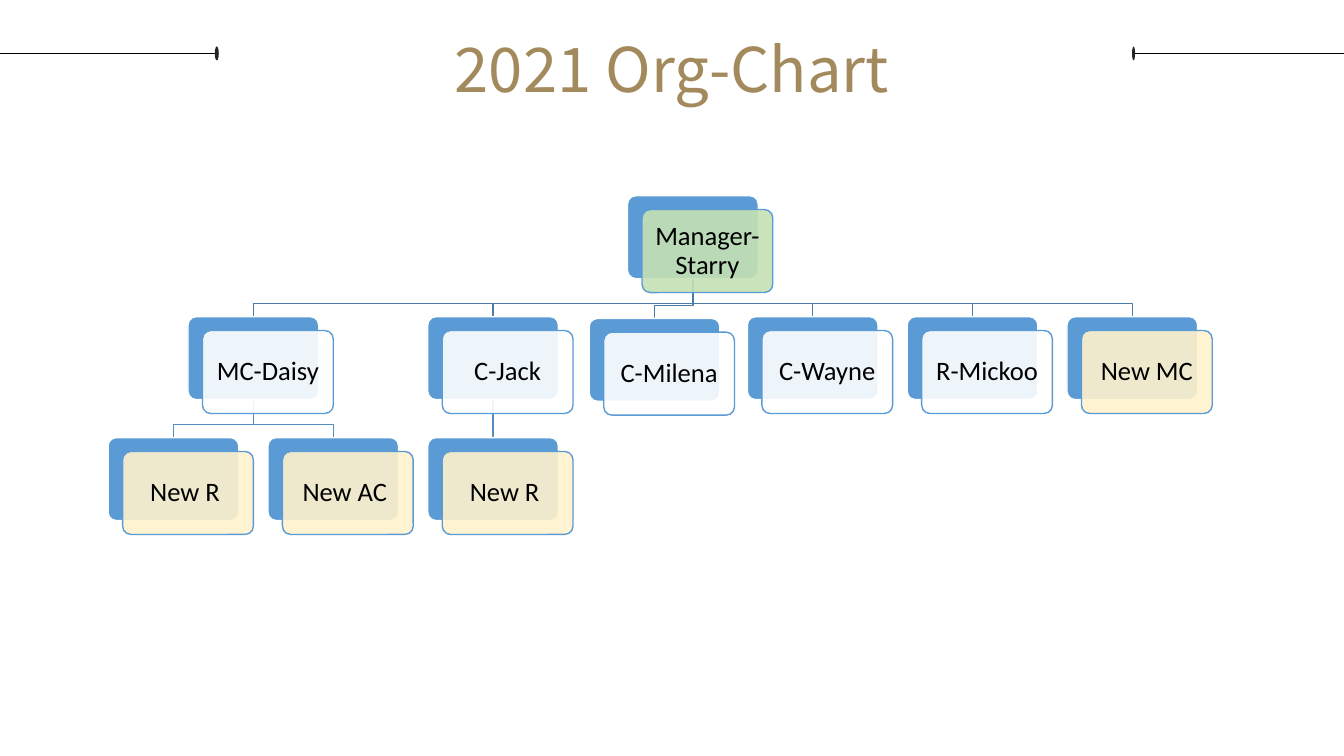
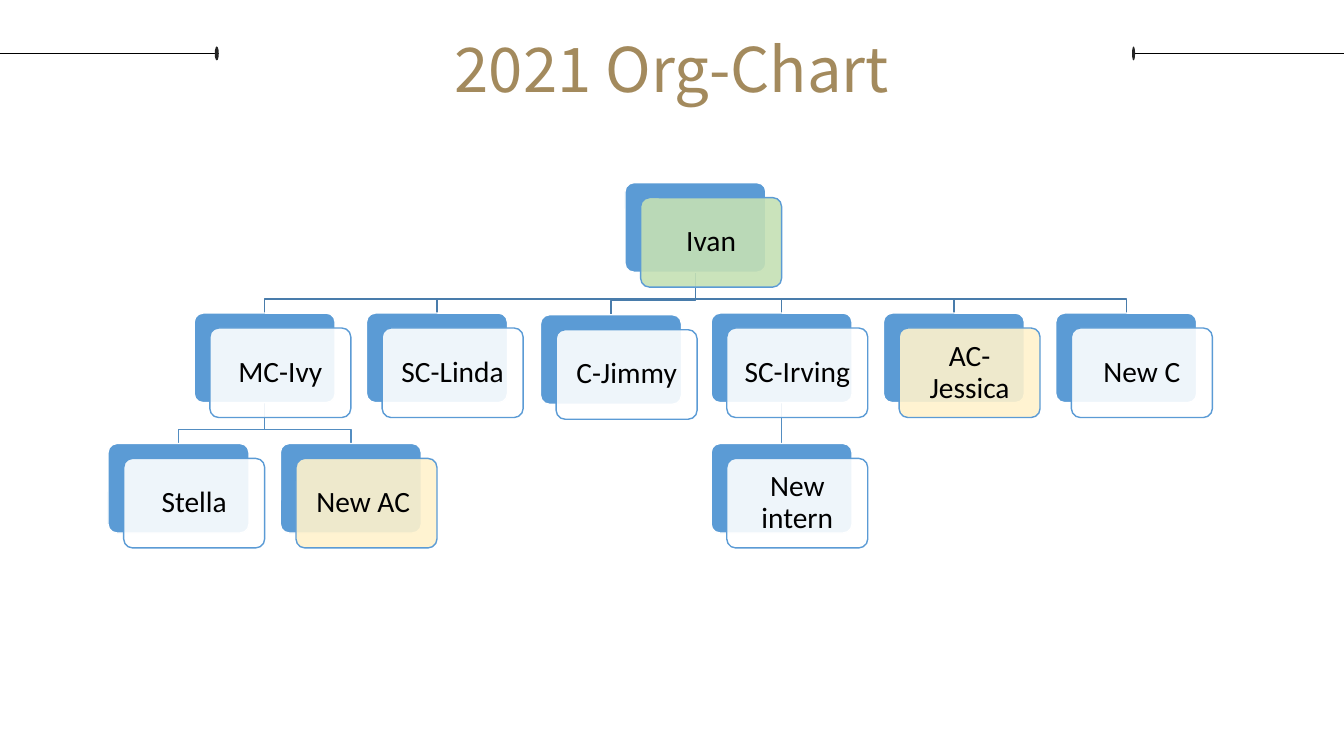
from collections import namedtuple

from lxml.etree import SubElement
from pptx import Presentation
from pptx.dml.color import RGBColor
from pptx.enum.shapes import MSO_CONNECTOR, MSO_SHAPE
from pptx.enum.text import MSO_ANCHOR, MSO_AUTO_SIZE, PP_ALIGN
from pptx.oxml.ns import qn
from pptx.util import Pt

COLORS = {
    "title": "A38A5D",
    "rule": "000000",
    "dot": "252525",
    "text": "000000",
    "blue": "5B9BD5",
    "white": "FFFFFF",
    "green": "C5E0B4",
    "cream": "FFF2CC",
    "link1": "497CAB",
    "link2": "538DC1",
}

Node = namedtuple("Node", "text col fill reports shift", defaults=("white", (), 0))


class Deck:
    title_font = "Noto Sans CJK SC"
    body_font = "Calibri"
    left = 77.2

    def __init__(self):
        self.prs = Presentation()
        self.prs.slide_width, self.prs.slide_height = Pt(960), Pt(540)
        self.s = None

    def color(self, name):
        return RGBColor.from_string(COLORS[name])

    def slide(self, title):
        self.s = self.prs.slides.add_slide(self.prs.slide_layouts[6])
        self.rule(0, 154, 153.4, 2.9)
        self.rule(810, 960, 808.6, 2.2)
        self.title(title)

    def stroke(self, shape, name, width=1):
        shape.line.color.rgb = self.color(name)
        shape.line.width = Pt(width)

    def line(self, x1, y1, x2, y2, name, width):
        c = self.s.shapes.add_connector(MSO_CONNECTOR.STRAIGHT, x1, y1, x2, y2)
        self.stroke(c, name, width)
        SubElement(c.element.spPr, qn("a:effectLst"))
        return c

    def shape(self, kind, x, y, w, h, fill):
        sp = self.s.shapes.add_shape(kind, Pt(x), Pt(y), Pt(w), Pt(h))
        sp.shadow.inherit = False
        sp.fill.solid()
        sp.fill.fore_color.rgb = self.color(fill)
        return sp

    def label(self, tf, text, font, size, color, spacing):
        p = tf.paragraphs[0]
        p.alignment = PP_ALIGN.CENTER
        p.line_spacing = spacing
        r = p.add_run()
        r.text = text
        r.font.name = font
        r.font.size = Pt(size)
        r.font.color.rgb = self.color(color)

    def rule(self, x1, x2, dot_x, dot_w):
        self.line(Pt(x1), Pt(38.2), Pt(x2), Pt(38.2), "rule", 0.75)
        dot = self.shape(MSO_SHAPE.OVAL, dot_x, 33.2, dot_w, 10, "dot")
        dot.line.fill.background()

    def title(self, text):
        tf = self.s.shapes.add_textbox(Pt(151), Pt(-8), Pt(658), Pt(78)).text_frame
        tf.word_wrap = True
        tf.auto_size = MSO_AUTO_SIZE.SHAPE_TO_FIT_TEXT
        self.label(tf, text, self.title_font, 44, "title", 1.5)

    def card(self, node, x, y, w, size):
        h = w * 0.635
        back = self.shape(MSO_SHAPE.ROUNDED_RECTANGLE, x, y, w, h, "blue")
        front = self.shape(MSO_SHAPE.ROUNDED_RECTANGLE, x + w / 9, y + w * 0.106, w, h, node.fill)
        tint = front.element.spPr.find(".//" + qn("a:srgbClr"))
        SubElement(tint, qn("a:alpha"), val="90000")
        for sp, edge in ((back, "white"), (front, "blue")):
            sp.adjustments[0] = 0.1
            self.stroke(sp, edge)
        tf = front.text_frame
        tf.word_wrap = True
        tf.vertical_anchor = MSO_ANCHOR.MIDDLE
        tf.margin_left = tf.margin_right = tf.margin_top = tf.margin_bottom = Pt(size * 0.3)
        self.label(tf, node.text, self.body_font, size, "text", 0.9)
        return back

    def link(self, boss, report, color, drop):
        x1, y1 = boss.left + boss.width // 2, boss.top + boss.height
        x2, y2 = report.left + report.width // 2, report.top
        if abs(x1 - x2) < Pt(0.1):
            sp = self.line(x1, y1, x2, y2, color, 1)
            sp.begin_connect(boss, 2)
            sp.end_connect(report, 0)
        else:
            bend = y2 - Pt(drop)
            elbow = self.s.shapes.build_freeform(x1, y1)
            elbow.add_line_segments([(x1, bend), (x2, bend), (x2, y2)], close=False)
            sp = elbow.convert_to_shape()
            sp.shadow.inherit = False
            sp.fill.background()
            self.stroke(sp, color)
        return sp

    def org_chart(self, root, top, w, size):
        links = []

        def place(node, level):
            x = self.left + node.col * w * 11 / 9 + node.shift
            y = top + level * w * 0.925 + node.shift
            back = self.card(node, x, y, w, size)
            for report in node.reports:
                child = place(report, level + 1)
                links.append(self.link(back, child, f"link{level + 1}", w / 10))
            return back

        first = place(root, 0)
        for sp in links:
            first.element.addprevious(sp.element)


STARRY = Node("Manager-Starry", 3.25, "green", (
    Node("MC-Daisy", 0.5, reports=(Node("New R ", 0, "cream"), Node("New AC ", 1, "cream"))),
    Node("C-Jack", 2, reports=(Node("New R ", 2, "cream"),)),
    Node("C-Milena", 3, shift=1.2),
    Node("C-Wayne", 4),
    Node("R-Mickoo", 5),
    Node("New MC", 6, "cream"),
))

IVAN = Node("Ivan", 3, "green", (
    Node("MC-Ivy", 0.5, reports=(Node("Stella", 0), Node("New AC ", 1, "cream"))),
    Node("SC-Linda", 1.5),
    Node("C-Jimmy", 2.5, shift=1.2),
    Node("SC-Irving", 3.5, reports=(Node("New intern", 3.5),)),
    Node("AC-Jessica", 4.5, "cream"),
    Node("New C", 5.5),
))


def main():
    deck = Deck()
    for root, top, w, size in ((STARRY, 139.8, 93.4, 19), (IVAN, 130.5, 100.7, 21)):
        deck.slide("2021 Org-Chart")
        deck.org_chart(root, top, w, size)
    deck.prs.save("out.pptx")


if __name__ == "__main__":
    main()
